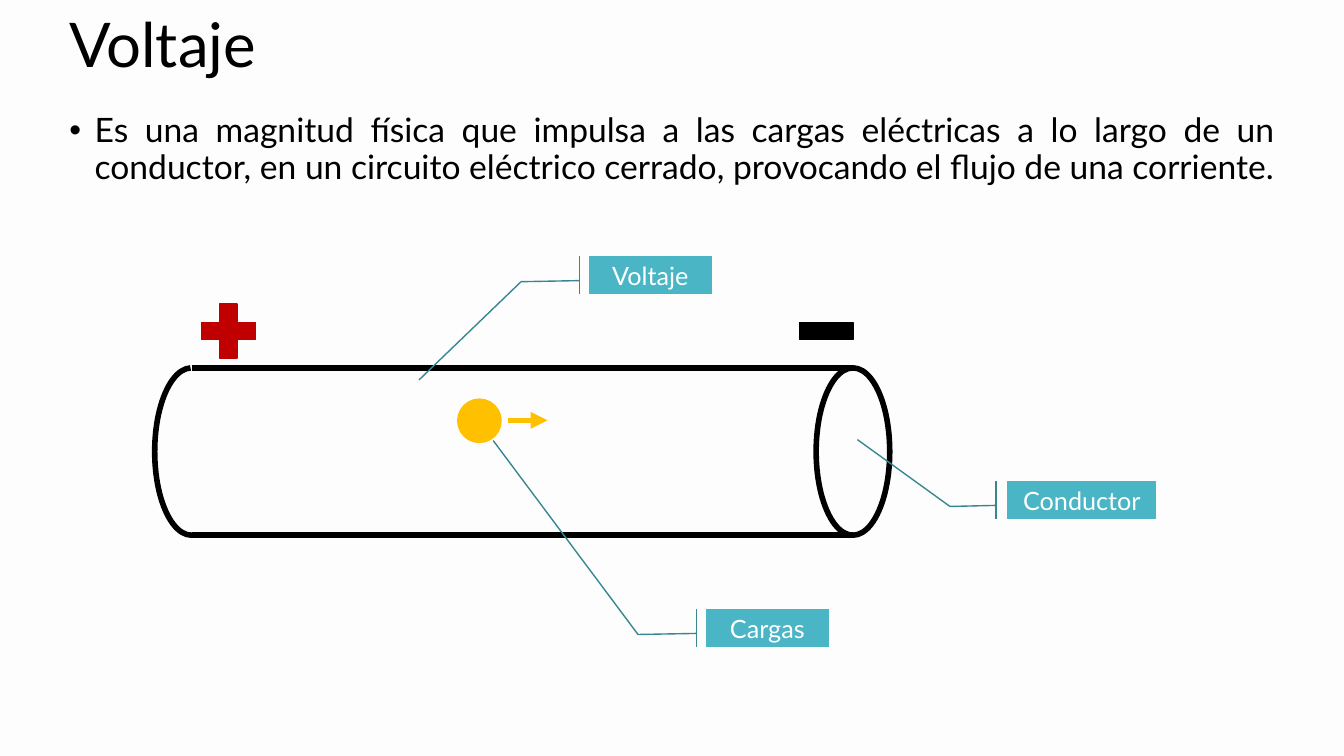
from dataclasses import dataclass
from typing import Optional

from lxml import etree
from pptx import Presentation
from pptx import util as u
from pptx.dml.color import RGBColor
from pptx.enum import shapes, text
from pptx.oxml.ns import qn

SHAPE = shapes.MSO_SHAPE


@dataclass(frozen=True)
class Theme:
    font: str = "Lato"
    background: str = "FDFDFD"
    ink: str = "000000"
    positive: str = "C00000"
    charge: str = "FFC000"
    label_fill: str = "4AB5C4"
    label_line: str = "378691"
    label_text: str = "FFFFFF"
    title_size: int = 44
    body_size: int = 24
    label_size: int = 18
    thin: float = 1
    thick: float = 4


THEME = Theme()


@dataclass(frozen=True)
class Box:
    left: float
    top: float
    width: float
    height: float

    def lengths(self) -> list:
        return [u.Inches(v) for v in (self.left, self.top, self.width, self.height)]


@dataclass(frozen=True)
class Figure:
    preset: SHAPE
    box: Box
    line: str
    fill: Optional[str] = None
    weight: float = THEME.thin
    adjustments: tuple = ()


@dataclass(frozen=True)
class Stroke:
    left: float
    right: float
    y: float
    color: str
    arrow: bool = False


@dataclass(frozen=True)
class Label:
    wording: str
    left: float
    top: float
    width: float
    elbow_x: float
    tip_y: float
    tip_x: float

    def figure(self) -> Figure:
        return Figure(SHAPE.LINE_CALLOUT_2_ACCENT_BAR,
                      Box(self.left, self.top, self.width, 0.38),
                      THEME.label_line, THEME.label_fill,
                      adjustments=(0.642, -0.075, 0.67, self.elbow_x, self.tip_y, self.tip_x))


def rgb(color: str) -> RGBColor:
    return RGBColor.from_string(color)


def write(frame, wording: str, size: int, color: str, align, anchor):
    frame.word_wrap = True
    frame.vertical_anchor = anchor
    paragraph = frame.paragraphs[0]
    paragraph.text = wording
    paragraph.alignment = align
    paragraph.font.name = THEME.font
    paragraph.font.size = u.Pt(size)
    paragraph.font.color.rgb = rgb(color)
    return paragraph


def add_bullet(paragraph) -> None:
    props = paragraph._p.get_or_add_pPr()
    props.set("marL", str(u.Inches(0.25)))
    props.set("indent", str(u.Inches(-0.25)))
    typeface = etree.Element(qn("a:buFont"), typeface="Arial")
    bullet = etree.Element(qn("a:buChar"), char="•")
    defaults = props.find(qn("a:defRPr"))
    defaults.addprevious(typeface)
    defaults.addprevious(bullet)


def draw_figure(slide, figure: Figure):
    shape = slide.shapes.add_shape(figure.preset, *figure.box.lengths())
    shape.shadow.inherit = False
    for index, value in enumerate(figure.adjustments):
        shape.adjustments[index] = value
    if figure.fill:
        shape.fill.solid()
        shape.fill.fore_color.rgb = rgb(figure.fill)
    else:
        shape.fill.background()
    shape.line.color.rgb = rgb(figure.line)
    shape.line.width = u.Pt(figure.weight)
    return shape


def draw_stroke(slide, stroke: Stroke) -> None:
    y = u.Inches(stroke.y)
    connector = slide.shapes.add_connector(
        shapes.MSO_CONNECTOR.STRAIGHT, u.Inches(stroke.left), y, u.Inches(stroke.right), y)
    connector.line.color.rgb = rgb(stroke.color)
    connector.line.width = u.Pt(THEME.thick)
    if stroke.arrow:
        etree.SubElement(connector.line._get_or_add_ln(), qn("a:tailEnd"), type="triangle")
    etree.SubElement(connector._element.spPr, qn("a:effectLst"))


def draw_label(slide, label: Label) -> None:
    callout = draw_figure(slide, label.figure())
    write(callout.text_frame, label.wording, THEME.label_size, THEME.label_text,
          text.PP_ALIGN.CENTER, text.MSO_ANCHOR.MIDDLE)


TUBE_TOP, TUBE_BOTTOM = 3.65, 5.31
TUBE_LEFT, TUBE_RIGHT = 1.9, 8.46
END_WIDTH = 0.73


def tube_end(center: float) -> Box:
    return Box(center - END_WIDTH / 2, TUBE_TOP, END_WIDTH, TUBE_BOTTOM - TUBE_TOP)


FIGURES = [
    Figure(SHAPE.OVAL, Box(4.54, 3.96, 0.43, 0.43), THEME.charge, THEME.charge),
    Figure(SHAPE.MATH_PLUS, Box(1.9, 2.92, 0.73, 0.73), THEME.positive, THEME.positive),
    Figure(SHAPE.RECTANGLE, Box(7.93, 3.2, 0.53, 0.17), THEME.ink, THEME.ink),
    Figure(SHAPE.OVAL, tube_end(TUBE_RIGHT), THEME.ink, weight=THEME.thick),
    Figure(SHAPE.ARC, tube_end(TUBE_LEFT), THEME.ink, weight=THEME.thick,
           adjustments=(52.61, 161.59)),
]
STROKES = [
    Stroke(TUBE_LEFT, TUBE_RIGHT, TUBE_TOP, THEME.ink),
    Stroke(TUBE_LEFT, TUBE_RIGHT, TUBE_BOTTOM, THEME.ink),
    Stroke(5.04, 5.43, 4.17, THEME.charge, arrow=True),
]
LABELS = [
    Label("Voltaje", 5.84, 2.54, 1.22, -0.551, 3.236, -1.381),
    Label("Cargas", 7, 6.04, 1.22, -0.551, -4.394, -1.728),
    Label("Conductor", 9.99, 4.77, 1.48, -0.384, -1.076, -1.004),
]
DEFINITION = (
    "Es una magnitud física que impulsa a las cargas eléctricas a lo largo de un conductor, "
    "en un circuito eléctrico cerrado, provocando el flujo de una corriente."
)


def main() -> None:
    deck = Presentation()
    deck.slide_width, deck.slide_height = u.Inches(13.33), u.Inches(7.5)
    slide = deck.slides.add_slide(deck.slide_layouts[6])
    slide.background.fill.solid()
    slide.background.fill.fore_color.rgb = rgb(THEME.background)

    title = slide.shapes.add_textbox(*Box(0.59, 0.05, 12.15, 0.84).lengths())
    heading = write(title.text_frame, "Voltaje", THEME.title_size, THEME.ink,
                    text.PP_ALIGN.LEFT, text.MSO_ANCHOR.MIDDLE)
    heading.line_spacing = 0.9
    body = slide.shapes.add_textbox(*Box(0.59, 1.08, 12.15, 5.83).lengths())
    definition = write(body.text_frame, DEFINITION, THEME.body_size, THEME.ink,
                       text.PP_ALIGN.JUSTIFY, text.MSO_ANCHOR.TOP)
    definition.line_spacing = 0.9
    add_bullet(definition)

    for stroke in STROKES:
        draw_stroke(slide, stroke)
    for figure in FIGURES:
        draw_figure(slide, figure)
    for label in LABELS:
        draw_label(slide, label)
    deck.save("out.pptx")


if __name__ == "__main__":
    main()
